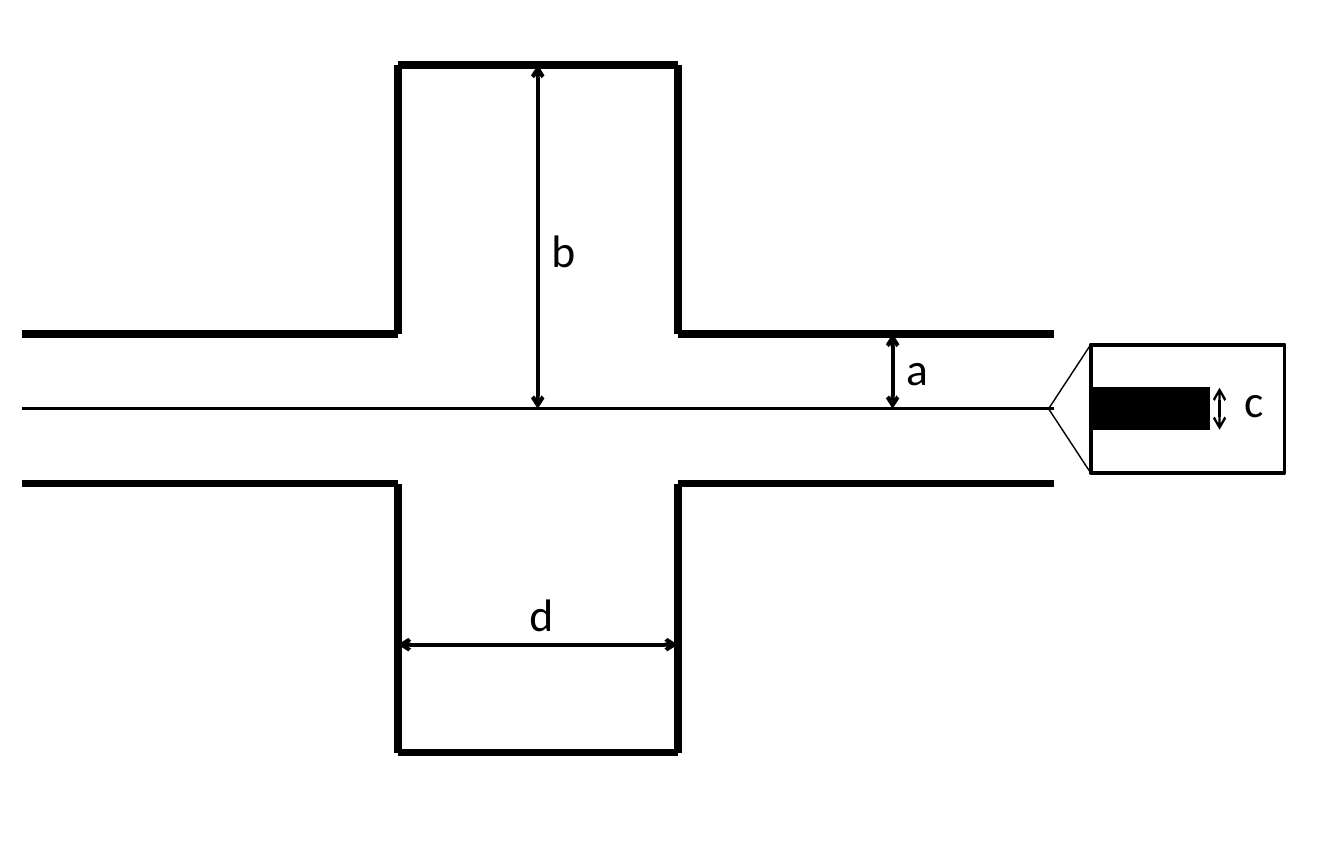
"""Draw a cavity cross-section with its dimensions and an enlarged view of the wire end."""
import pptx
import pptx.dml.color
import pptx.enum.shapes
import pptx.enum.text
import pptx.oxml.ns
import pptx.util
import lxml.etree

EMU_PER_PIXEL = 914400 / 136.6


def pixels(value):
    """Turn whole pixels into EMU."""
    return pptx.util.Emu(round(value * EMU_PER_PIXEL))


def color(value):
    """Turn a hex string into a colour."""
    return pptx.dml.color.RGBColor.from_string(value)


class Sketch:
    """Hold the style and the current slide."""

    ink = "000000"
    font = "Calibri"
    label_size = 24

    def __init__(self, slide):
        """Keep the slide to draw on."""
        self.slide = slide

    def stroke(self, line, weight):
        """Give a line the ink colour and a weight in points."""
        line.color.rgb = color(self.ink)
        line.width = pptx.util.Pt(weight)

    def line(self, start, end, weight):
        """Draw a straight line between two points."""
        connector = self.slide.shapes.add_connector(
            pptx.enum.shapes.MSO_CONNECTOR.STRAIGHT,
            *map(pixels, (*start, *end)))
        self.stroke(connector.line, weight)
        properties = connector._element.spPr
        lxml.etree.SubElement(properties, pptx.oxml.ns.qn("a:effectLst"))
        return connector

    def dimension(self, start, end, weight):
        """Draw a line with an open arrowhead at both ends."""
        connector = self.line(start, end, weight)
        outline = connector.line._get_or_add_ln()
        for tag in ("a:headEnd", "a:tailEnd"):
            lxml.etree.SubElement(outline, pptx.oxml.ns.qn(tag), type="arrow")

    def frame(self, left, top, width, height, weight):
        """Draw an unfilled rectangle."""
        shape = self.slide.shapes.add_shape(
            pptx.enum.shapes.MSO_SHAPE.RECTANGLE,
            *map(pixels, (left, top, width, height)))
        shape.shadow.inherit = False
        shape.fill.background()
        self.stroke(shape.line, weight)

    def label(self, text, left, top, width, height=69):
        """Write a dimension letter."""
        box = self.slide.shapes.add_textbox(
            *map(pixels, (left, top, width, height)))
        text_frame = box.text_frame
        text_frame.word_wrap = False
        text_frame.auto_size = pptx.enum.text.MSO_AUTO_SIZE.SHAPE_TO_FIT_TEXT
        text_frame.text = text
        font = text_frame.paragraphs[0].runs[0].font
        font.name = self.font
        font.size = pptx.util.Pt(self.label_size)
        font.color.rgb = color(self.ink)


presentation = pptx.Presentation()
presentation.slide_width = pptx.util.Cm(25)
presentation.slide_height = pptx.util.Cm(16)
sketch = Sketch(presentation.slides.add_slide(presentation.slide_layouts[6]))

pipe_left, cavity_left, cavity_right, pipe_right = 22, 398, 678, 1054
cavity_center = (cavity_left + cavity_right) // 2
axis = 409
pipe_radius, cavity_radius = 75, 344
pipe_top, cavity_top = axis - pipe_radius, axis - cavity_radius

for side in (-1, 1):
    pipe_wall = axis + side * pipe_radius
    cavity_wall = axis + side * cavity_radius
    outline = [(pipe_left, pipe_wall), (cavity_left, pipe_wall),
               (cavity_left, cavity_wall), (cavity_right, cavity_wall),
               (cavity_right, pipe_wall), (pipe_right, pipe_wall)]
    for start, end in zip(outline, outline[1:]):
        sketch.line(start, end, 4)

sketch.dimension((893, axis), (893, pipe_top), 2)
sketch.dimension((cavity_center, axis), (cavity_center, cavity_top), 2)
sketch.dimension((cavity_left, 645), (cavity_right, 645), 2)
sketch.line((pipe_left, axis), (pipe_right, axis), 1.5)

sketch.label("a", 893, 333, 49)
sketch.label("b", 538, 215, 52)
sketch.label("d", 516, 580, 52)

detail_left, detail_half, wire_half = 1091, 64, 21
for side in (-1, 1):
    sketch.line((1049, axis), (detail_left, axis + side * detail_half), 0.75)
sketch.frame(detail_left, axis - detail_half, 194, 2 * detail_half, 2)
sketch.line((detail_left, axis), (1210, axis), 22.75)
sketch.dimension((1220, axis - wire_half), (1220, axis + wire_half), 1.25)
sketch.label("c", 1231, 365, 46)

presentation.save("out.pptx")
